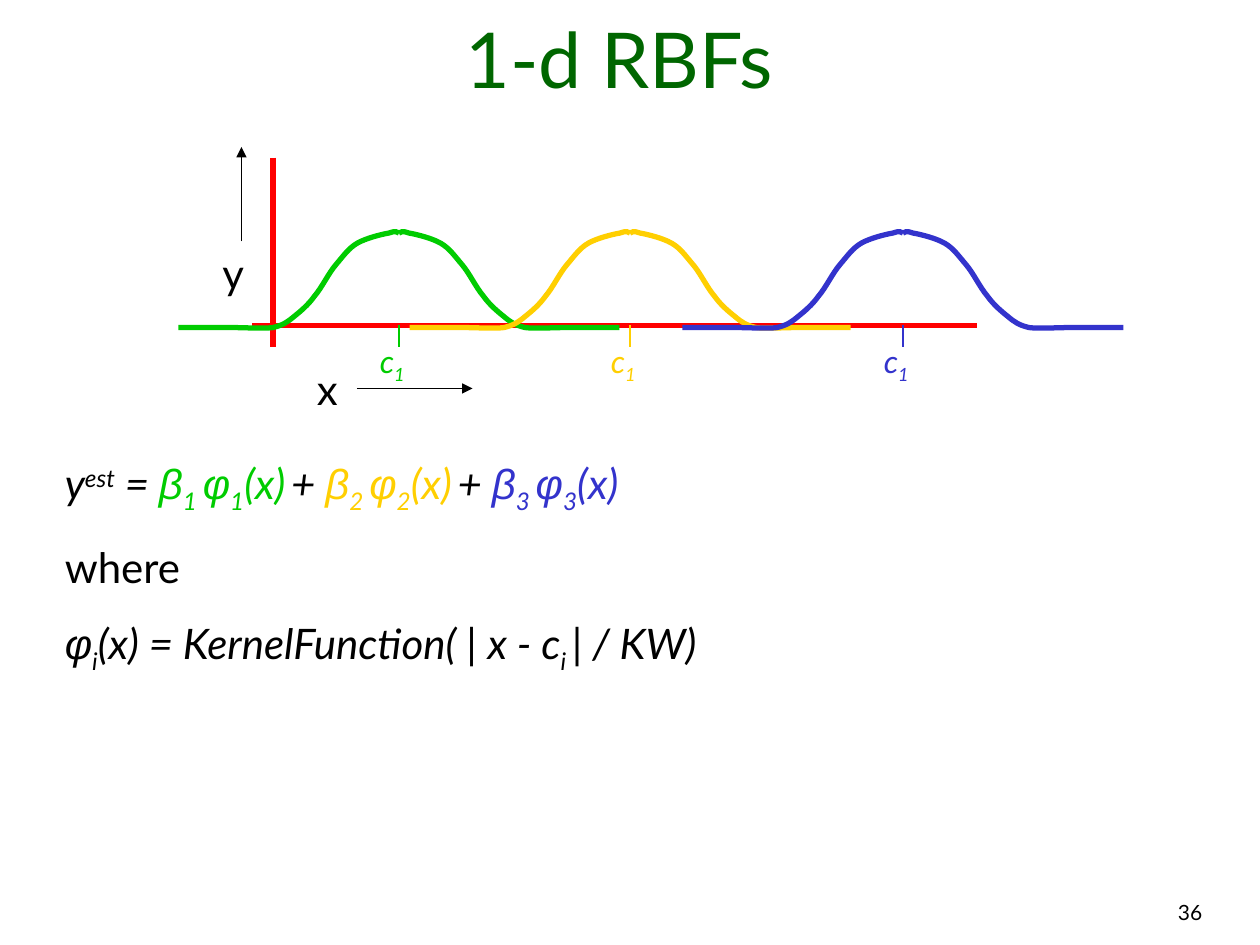
from dataclasses import dataclass

from lxml.etree import SubElement
from pptx import Presentation
from pptx.dml.color import RGBColor
from pptx.enum.shapes import MSO_CONNECTOR
from pptx.enum.text import MSO_ANCHOR, MSO_AUTO_SIZE, PP_ALIGN
from pptx.oxml.ns import qn
from pptx.util import Inches, Pt

BLACK, RED, DARK_GREEN = "000000", "FF0000", "006600"
GREEN, YELLOW, BLUE = "00CC00", "FFCF01", "3333CC"
SUB, SUPER = -25, 30

# The plot sits on a grid of twelfths of an inch.
GRID = 12
AXIS_Y, TICK_END = 31, 33

# Left half of a bell in inches: x from its centre, y on the slide. After the start,
# every three points are two Bezier controls and an end point.
BELL = [
    (-1.75, 2.6),
    (-1.61, 2.6), (-1.46, 2.6), (-1.33, 2.6),
    (-1.21, 2.6), (-1.08, 2.61), (-1, 2.6),
    (-0.92, 2.58), (-0.89, 2.56), (-0.83, 2.51),
    (-0.78, 2.47), (-0.72, 2.42), (-0.67, 2.35),
    (-0.61, 2.28), (-0.56, 2.17), (-0.5, 2.1),
    (-0.44, 2.03), (-0.4, 1.97), (-0.33, 1.93),
    (-0.26, 1.89), (-0.14, 1.86), (-0.08, 1.85),
    (-0.03, 1.83), (-0.01, 1.84), (0, 1.85),
]


@dataclass
class Run:
    text: str
    color: str = BLACK
    italic: bool = True
    baseline: int = 0
    font: str = "Lato"


@dataclass
class Basis:
    center: int
    color: str


BASES = [Basis(38, GREEN), Basis(60, YELLOW), Basis(86, BLUE)]


def rgb(color: str) -> RGBColor:
    return RGBColor.from_string(color)


def on_grid(*cells: float) -> tuple:
    """Turn grid counts into inches."""
    return tuple(n / GRID for n in cells)


def add_text(shapes, box: tuple, paragraphs: list[list[Run]], size: float,
             before: float = 0, align=PP_ALIGN.LEFT, anchor=MSO_ANCHOR.TOP,
             fit=MSO_AUTO_SIZE.SHAPE_TO_FIT_TEXT):
    tf = shapes.add_textbox(*map(Inches, box)).text_frame
    tf.word_wrap = True
    tf.auto_size = fit
    tf.vertical_anchor = anchor
    for i, runs in enumerate(paragraphs):
        p = tf.paragraphs[0] if i == 0 else tf.add_paragraph()
        p.alignment = align
        p.space_before = Pt(before)
        for run in runs:
            r = p.add_run()
            r.text = run.text
            r.font.size = Pt(size)
            r.font.name = run.font
            r.font.italic = run.italic
            r.font.color.rgb = rgb(run.color)
            if run.baseline:
                r.font._element.set("baseline", str(run.baseline * 1000))


def add_line(shapes, start: tuple, end: tuple, color: str, width: float,
             arrow: bool = False):
    """Draw a line between two grid points."""
    ends = map(Inches, on_grid(*start, *end))
    line = shapes.add_connector(MSO_CONNECTOR.STRAIGHT, *ends)
    line.line.color.rgb = rgb(color)
    line.line.width = Pt(width)
    if arrow:
        SubElement(line.line._get_or_add_ln(), qn("a:tailEnd"), type="triangle")
    SubElement(line._element.spPr, qn("a:effectLst"))


def curve_segments(sp):
    """Join every three straight segments into one cubic Bezier."""
    outline = next(sp._element.iter(qn("a:path")))
    lines = outline.findall(qn("a:lnTo"))
    for i in range(0, len(lines), 3):
        curve = SubElement(outline, qn("a:cubicBezTo"))
        for line in lines[i:i + 3]:
            curve.append(line[0])
            outline.remove(line)


def add_half_bell(shapes, basis: Basis, side: int):
    """Draw the left (side 1) or right (side -1) half of a bell."""
    points = [(Inches(basis.center / GRID + side * x), Inches(y)) for x, y in BELL]
    builder = shapes.build_freeform(*points[0])
    builder.add_line_segments(points[1:], close=False)
    sp = builder.convert_to_shape()
    curve_segments(sp)
    sp.shadow.inherit = False
    sp.fill.background()
    sp.line.color.rgb = rgb(basis.color)
    sp.line.width = Pt(3)


def add_plot(shapes):
    add_line(shapes, (26, 15), (26, TICK_END), RED, 3)
    add_line(shapes, (93, AXIS_Y), (24, AXIS_Y), RED, 3)
    for basis in BASES:
        for side in (1, -1):
            add_half_bell(shapes, basis, side)
    add_text(shapes, on_grid(29, 34, 4, 6), [[Run("x", italic=False)]], 24, 15)
    add_line(shapes, (34, 37), (45, 37), BLACK, 0.75, arrow=True)
    add_text(shapes, on_grid(20, 23, 8, 6), [[Run("y", italic=False)]], 24, 15)
    add_line(shapes, (23, 23), (23, 14), BLACK, 0.75, arrow=True)
    for basis in BASES:
        x, color = basis.center, basis.color
        label = [Run("c", color), Run("1", color, baseline=SUB)]
        add_text(shapes, on_grid(x - 3, 32, 5, 5.25), [label], 18, 11.2)
        add_line(shapes, (x, AXIS_Y), (x, TICK_END), color, 1.5)


def formula_runs() -> list[Run]:
    runs = [Run("y"), Run("est", baseline=SUPER), Run(" = ")]
    for i, basis in enumerate(BASES, 1):
        color = basis.color
        runs += [
            Run("β", color, font="Arial"),
            Run(f"{i} ", color, baseline=SUB),
            Run("φ", color, font="Arial"),
            Run(str(i), color, baseline=SUB),
            Run("(x)", color),
        ]
        if i < len(BASES):
            runs += [Run(" ", color, baseline=SUB), Run("+ ")]
    return runs


def main():
    prs = Presentation()
    prs.slide_width, prs.slide_height = Inches(10), Inches(7.5)
    s = prs.slides.add_slide(prs.slide_layouts[6])

    add_text(s.shapes, (5.72, 7.09, 3.92, 0.33), [[Run("36", italic=False)]], 12, 7.5,
             PP_ALIGN.RIGHT)
    add_text(s.shapes, on_grid(3, 2, 112, 8.5),
             [[Run("1-d RBFs", DARK_GREEN, italic=False)]], 44,
             align=PP_ALIGN.CENTER, anchor=MSO_ANCHOR.BOTTOM, fit=MSO_AUTO_SIZE.NONE)
    kernel = [
        Run("φ", font="Arial"), Run("i", baseline=SUB), Run("(x) = KernelFunction( "),
        Run("| ", italic=False), Run("x - c"), Run("i ", baseline=SUB),
        Run("|", italic=False), Run(" / KW)"),
    ]
    add_text(s.shapes, on_grid(5, 43, 103, 22),
             [formula_runs(), [Run("where", italic=False)], kernel], 24, 15)
    add_plot(s.shapes.add_group_shape().shapes)
    prs.save("out.pptx")


if __name__ == "__main__":
    main()
